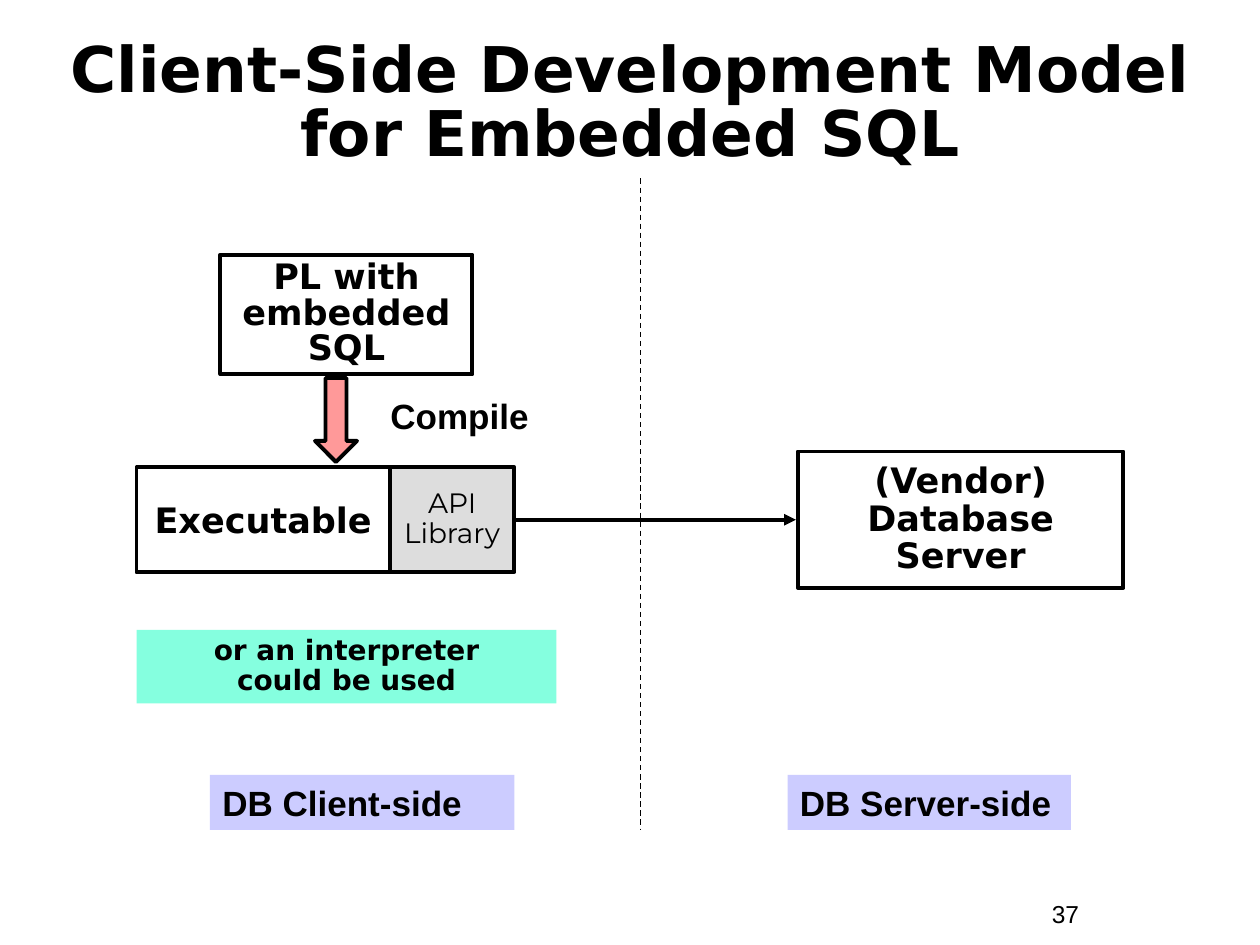
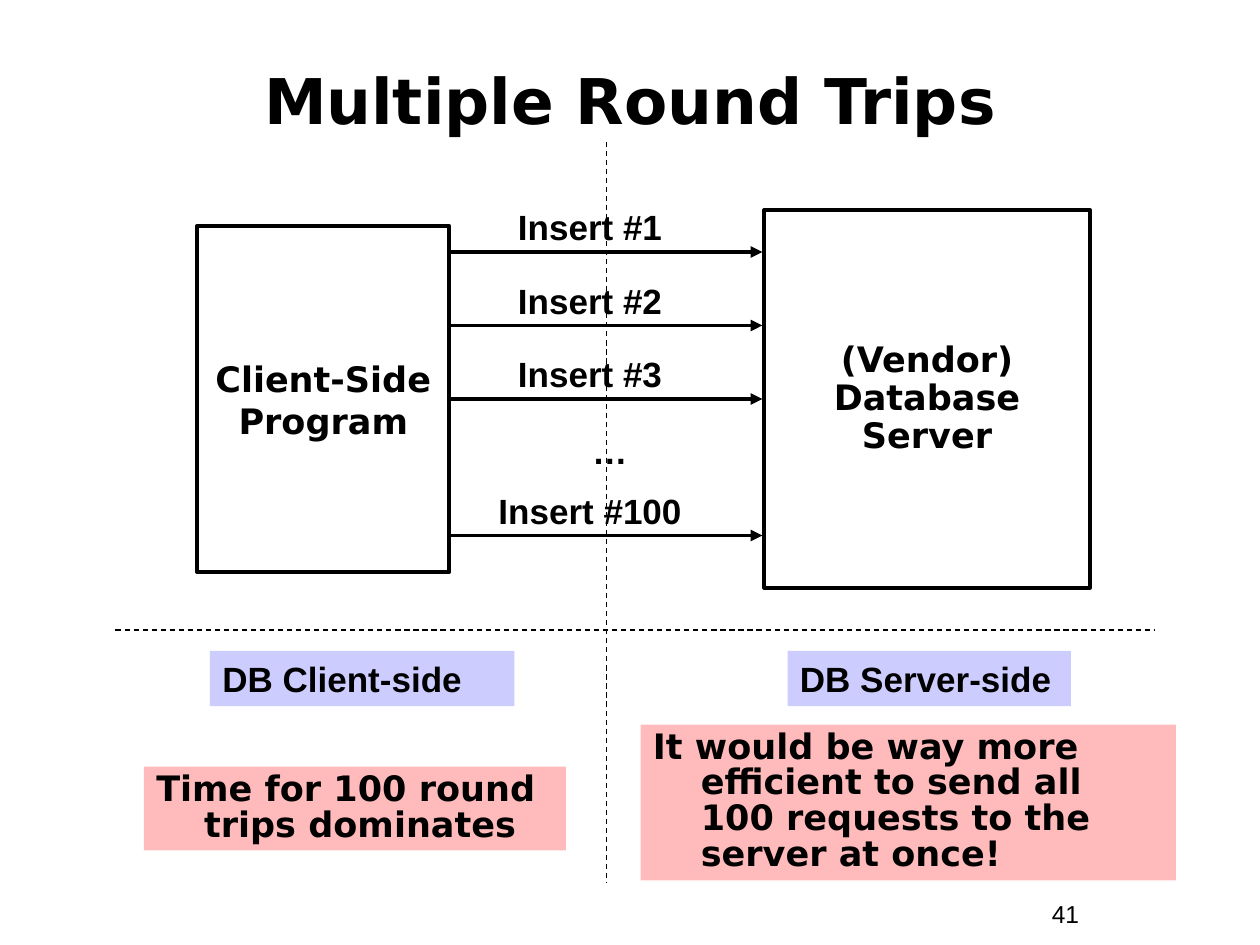
from dataclasses import dataclass

from lxml.etree import SubElement
from pptx import Presentation
from pptx.dml.color import RGBColor
from pptx.enum.dml import MSO_LINE
from pptx.enum.shapes import MSO_CONNECTOR, MSO_SHAPE
from pptx.enum.text import MSO_ANCHOR, MSO_AUTO_SIZE, PP_ALIGN
from pptx.oxml.ns import qn
from pptx.util import Inches, Pt

COLUMNS, ROWS = 120, 90
CELL = Inches(10) // COLUMNS


@dataclass(frozen=True)
class Theme:
    """Colours, fonts and sizes shared by the slides."""
    ink: str = "000000"
    side: str = "CCCCFF"
    remark: str = "FFBBBB"
    option: str = "85FFDF"
    library: str = "DDDDDD"
    compiling: str = "FF9999"
    heading: str = "DejaVu Sans"
    label: str = "Arial"
    light: str = "Montserrat"
    title_size: int = 36
    body_size: int = 20
    small_size: int = 16
    number_size: int = 14
    border: float = 2.25
    hairline: float = 0.75


THEME = Theme()


@dataclass(frozen=True)
class Box:
    """A rectangle measured in grid columns and rows."""
    left: float
    top: float
    width: float
    height: float

    def inner(self, column, row, width, height):
        """Return a box placed relative to this one."""
        return Box(self.left + column, self.top + row, width, height)

    def emu(self):
        """Return left, top, width and height as slide lengths."""
        return [round(n * CELL) for n in (self.left, self.top, self.width, self.height)]


def colour(code):
    """Turn a hex code into a colour."""
    return RGBColor.from_string(code)


def write(shape, text, font=THEME.heading, size=THEME.body_size, bold=True,
          align=PP_ALIGN.CENTER, anchor=MSO_ANCHOR.MIDDLE, spacing=1.0,
          wrap=True, hanging=0):
    """Put formatted text into a shape."""
    frame = shape.text_frame
    frame.text = text
    frame.auto_size = MSO_AUTO_SIZE.NONE
    frame.word_wrap = wrap
    frame.vertical_anchor = anchor
    for paragraph in frame.paragraphs:
        paragraph.alignment = align
        paragraph.line_spacing = spacing
        if hanging:
            properties = paragraph._p.get_or_add_pPr()
            properties.set("marL", str(hanging))
            properties.set("indent", str(-hanging))
        for run in paragraph.runs:
            run.font.name = font
            run.font.size = Pt(size)
            run.font.bold = bold
            run.font.color.rgb = colour(THEME.ink)


def block(slide, box, fill=None, border=True, kind=MSO_SHAPE.RECTANGLE):
    """Draw a flat preset shape."""
    shape = slide.shapes.add_shape(kind, *box.emu())
    shape.shadow.inherit = False
    if fill:
        shape.fill.solid()
        shape.fill.fore_color.rgb = colour(fill)
    else:
        shape.fill.background()
    if border:
        shape.line.color.rgb = colour(THEME.ink)
        shape.line.width = Pt(THEME.border)
    else:
        shape.line.fill.background()
    return shape


def caption(slide, box, text, align=PP_ALIGN.LEFT, size=THEME.body_size, bold=True):
    """Write a plain label."""
    write(slide.shapes.add_textbox(*box.emu()), text, THEME.label, size, bold,
          align, MSO_ANCHOR.TOP)


def connect(slide, box, arrow=False):
    """Draw a solid arrow or a dashed divider from corner to corner of a box."""
    left, top, width, height = box.emu()
    line = slide.shapes.add_connector(MSO_CONNECTOR.STRAIGHT, left, top,
                                      left + width, top + height)
    line.line.color.rgb = colour(THEME.ink)
    line.line.width = Pt(THEME.border if arrow else THEME.hairline)
    if arrow:
        SubElement(line.line._get_or_add_ln(), qn("a:tailEnd"), type="triangle")
    else:
        line.line.dash_style = MSO_LINE.DASH
    SubElement(line._element.spPr, qn("a:effectLst"))


def titled_slide(deck, title, box, number, spacing=1.0):
    """Add a slide with its title and page number."""
    slide = deck.slides.add_slide(deck.slide_layouts[5])
    heading = slide.shapes.title
    heading.left, heading.top, heading.width, heading.height = box.emu()
    write(heading, title, size=THEME.title_size, spacing=spacing)
    caption(slide, Box(99, 85, 11, 4), number, size=THEME.number_size, bold=False)
    return slide


def side_labels(slide, box):
    """Name the client half and the server half."""
    for column, width, text in ((0, 29, "DB Client-side"), (55, 27, "DB Server-side")):
        label = block(slide, box.inner(column, 0, width, box.height), THEME.side, False)
        write(label, text, THEME.label, align=PP_ALIGN.LEFT, anchor=MSO_ANCHOR.TOP)


def database_server(slide, box):
    """Draw the database server."""
    write(block(slide, box), "(Vendor)\vDatabase\vServer", spacing=0.9, wrap=False)


def client_build(slide, box):
    """Show source code compiled into an executable with its library."""
    source = block(slide, box.inner(8, 0, 24, 11.4))
    write(source, "PL with embedded SQL", spacing=0.85)
    block(slide, box.inner(17, 11.75, 4, 8), THEME.compiling, kind=MSO_SHAPE.DOWN_ARROW)
    caption(slide, box.inner(23, 12.75, 21, 5.25), "Compile")
    executable = block(slide, box.inner(0, 20.25, 24.15, 10))
    write(executable, "Executable", wrap=False)
    library = block(slide, box.inner(24.15, 20.25, 11.85, 10), THEME.library)
    write(library, "API\vLibrary", THEME.light, THEME.small_size, False,
          spacing=0.9, wrap=False)
    interpreter = block(slide, box.inner(0, 35.75, box.width, 7), THEME.option, False)
    write(interpreter, "or an interpreter\vcould be used", size=THEME.small_size,
          anchor=MSO_ANCHOR.TOP, spacing=0.9)


def insert_calls(slide, box):
    """Draw one arrow per insert, with its label above."""
    for row, count in ((5, 1), (12, 2), (19, 3), (32, 100)):
        connect(slide, box.inner(0, row, box.width, 0), arrow=True)
        caption(slide, box.inner(0.2, row - 5, 26, 5.25), f"Insert #{count}",
                PP_ALIGN.CENTER)
    caption(slide, box.inner(2.1, 21.3, 26, 5.25), "…", PP_ALIGN.CENTER)


def remark(slide, box, text):
    """Write a highlighted remark with a hanging indent."""
    write(block(slide, box, THEME.remark, False), text, align=PP_ALIGN.LEFT,
          anchor=MSO_ANCHOR.TOP, spacing=0.85, hanging=Inches(0.38))


def development_model(deck):
    """Build the slide on the development model."""
    slide = titled_slide(deck, "Client-Side Development Model\vfor Embedded SQL",
                         Box(4, 6, 112, 8), "37", 0.85)
    database_server(slide, Box(76, 43, 31, 13))
    connect(slide, Box(46.2, 49.5, 29.6, 0), arrow=True)
    connect(slide, Box(61, 17, 0, 62))
    side_labels(slide, Box(20, 73.8, 82, 5.25))
    client_build(slide, Box(13, 24.25, 40, 43))


def round_trips(deck):
    """Build the slide on repeated round trips."""
    slide = titled_slide(deck, "Multiple Round Trips", Box(4, 4, 112, 11), "41")
    client = block(slide, Box(18.8, 21.5, 24, 33))
    write(client, "Client-Side\nProgram", wrap=False)
    database_server(slide, Box(72.8, 20, 31, 36))
    connect(slide, Box(57.75, 13.5, 0, 70.6))
    connect(slide, Box(11, 60, 99, 0))
    insert_calls(slide, Box(43, 19, 29.6, 32))
    remark(slide, Box(13.7, 73, 40.2, 8), "Time for 100 round trips dominates")
    remark(slide, Box(61, 69, 51, 14.85), "It would be way more efficient to send all "
           "100 requests to the server at once!")
    side_labels(slide, Box(20, 62, 82, 5.25))


def main():
    """Build and save the deck."""
    deck = Presentation()
    deck.slide_width, deck.slide_height = COLUMNS * CELL, ROWS * CELL
    development_model(deck)
    round_trips(deck)
    deck.save("out.pptx")


if __name__ == "__main__":
    main()
